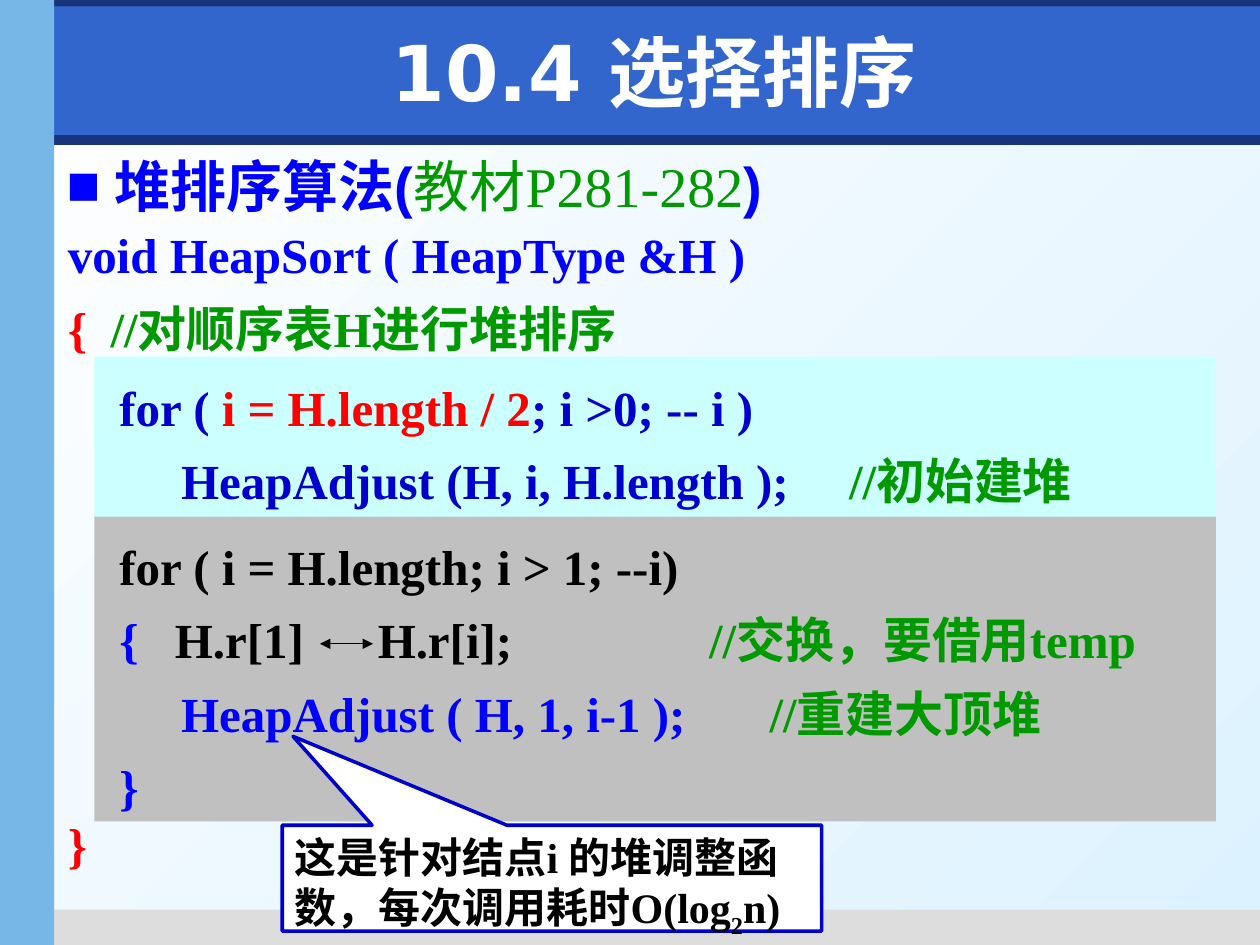
from dataclasses import dataclass

from lxml.etree import SubElement
from pptx import Presentation
from pptx.dml.color import RGBColor
from pptx.enum.shapes import MSO_CONNECTOR, MSO_SHAPE
from pptx.enum.text import MSO_ANCHOR, PP_ALIGN
from pptx.oxml.ns import qn
from pptx.util import Inches, Pt

COLORS = {
    "navy": "17347D", "banner": "3366CC", "sidebar": "77B7E7", "footer": "DDDDDD",
    "white": "FFFFFF", "sky": "DDF2FF", "blue": "0000FF", "deep": "0000CC",
    "red": "FF0000", "green": "009900", "black": "000000",
    "cyan": "CCFFFF", "gray": "C0C0C0",
}
SERIF = "Times New Roman"
CJK = "Noto Sans CJK SC"


@dataclass
class Span:
    text: str
    color: str
    font: str = SERIF
    bold: bool = True
    baseline: int = 0


@dataclass
class Line:
    spans: list[Span]
    tabs: tuple[float, ...] = ()
    size: int = 28
    spacing: float = 1.25


@dataclass
class Box:
    left: float
    top: float
    width: float
    height: float
    fill: str = ""


def rgb(name: str) -> RGBColor:
    return RGBColor.from_string(COLORS[name])


def add_panel(slide, box: Box, kind=MSO_SHAPE.RECTANGLE):
    panel = slide.shapes.add_shape(
        kind, Inches(box.left), Inches(box.top), Inches(box.width), Inches(box.height))
    panel.shadow.inherit = False
    panel.fill.solid()
    panel.fill.fore_color.rgb = rgb(box.fill)
    panel.line.fill.background()
    return panel


def add_label(slide, box: Box):
    return slide.shapes.add_textbox(
        Inches(box.left), Inches(box.top), Inches(box.width), Inches(box.height))


def set_tabs(paragraph, stops: tuple[float, ...]) -> None:
    tab_list = SubElement(paragraph._p.get_or_add_pPr(), qn("a:tabLst"))
    for stop in stops:
        SubElement(tab_list, qn("a:tab"), pos=str(Inches(stop)), algn="l")


def add_span(paragraph, span: Span, size: int) -> None:
    run = paragraph.add_run()
    run.text = span.text
    run.font.size = Pt(size)
    run.font.bold = span.bold
    run.font.color.rgb = rgb(span.color)
    run.font.name = span.font
    properties = run.font._element
    SubElement(properties, qn("a:ea"), typeface=CJK)
    if span.baseline:
        properties.set("baseline", str(span.baseline * 1000))


def write(shape, lines: list[Line], align=PP_ALIGN.LEFT, anchor=MSO_ANCHOR.TOP) -> None:
    frame = shape.text_frame
    frame.word_wrap = True
    frame.vertical_anchor = anchor
    for index, line in enumerate(lines):
        paragraph = frame.add_paragraph() if index else frame.paragraphs[0]
        paragraph.alignment = align
        paragraph.line_spacing = line.spacing
        if line.tabs:
            set_tabs(paragraph, line.tabs)
        paragraph.font.size = Pt(line.size)
        for span in line.spans:
            add_span(paragraph, span, line.size)


def add_bullet(paragraph, color: str, indent: float) -> None:
    properties = paragraph._p.get_or_add_pPr()
    properties.set("marL", str(Inches(indent)))
    properties.set("indent", str(-Inches(indent)))
    bullet_color = SubElement(properties, qn("a:buClr"))
    SubElement(bullet_color, qn("a:srgbClr"), val=COLORS[color])
    SubElement(properties, qn("a:buFont"), typeface="Arial")
    SubElement(properties, qn("a:buChar"), char="■")


def add_swap_arrow(slide, left: float, right: float, y: float) -> None:
    arrow = slide.shapes.add_connector(
        MSO_CONNECTOR.STRAIGHT, Inches(left), Inches(y), Inches(right), Inches(y))
    arrow.line.color.rgb = rgb("black")
    arrow.line.width = Pt(0.75)
    line = arrow.line._get_or_add_ln()
    for end in ("a:headEnd", "a:tailEnd"):
        SubElement(line, qn(end), type="triangle")
    SubElement(arrow._element.spPr, qn("a:effectLst"))


FRAME = [
    Box(0.04, 1.07, 9.96, 0.08, "navy"),
    Box(0.35, 7.22, 9.65, 0.28, "footer"),
    Box(0, 0, 10, 0.21, "navy"),
    Box(0.43, 0.05, 9.57, 1.02, "banner"),
    Box(0, 0, 0.43, 7.5, "sidebar"),
]
SIGNATURE = [
    Line([Span("void HeapSort ( HeapType &H )", "blue")]),
    Line([Span("{\t", "red"), Span("//对顺序表H进行堆排序", "green")], (0.34,)),
]
BUILD_LOOP = [
    Line([Span("\tfor ( ", "deep"), Span("i = H.length / 2", "red"),
          Span("; i >0; -- i )", "deep")], (0.1,)),
    Line([Span("\tHeapAdjust (H, i, H.length );\t", "deep"),
          Span("//初始建堆", "green")], (0.59, 5.89)),
]
SORT_LOOP = [
    Line([Span("\tfor ( i = H.length; i > 1; --i)", "black")], (0.1,)),
    Line([Span("\t{\t", "blue"), Span("H.r[1]\tH.r[i];\t", "black"),
          Span("//交换，要借用temp", "green")], (0.1, 0.54, 2.15, 4.78)),
    Line([Span("\tHeapAdjust ( H, 1, i-1 );\t", "blue"),
          Span("//重建大顶堆", "green")], (0.59, 5.26)),
    Line([Span("\t}", "blue")], (0.1,)),
]
COST_NOTE = Line([
    Span("这是针对结点i 的堆调整函数，每次调用耗时O(log", "black"),
    Span("2", "black", baseline=-25),
    Span("n)", "black"),
], size=24, spacing=1.0)


def main() -> None:
    presentation = Presentation()
    presentation.slide_width, presentation.slide_height = Inches(10), Inches(7.5)
    slide = presentation.slides.add_slide(presentation.slide_layouts[6])

    background = slide.background.fill
    background.gradient()
    background.gradient_angle = 315
    for stop, color in zip(background.gradient_stops, ("white", "sky")):
        stop.color.rgb = rgb(color)
    for box in FRAME:
        add_panel(slide, box)

    title = add_label(slide, Box(0.59, 0.13, 9.21, 0.87))
    write(title, [Line([Span("10.4 选择排序", "white", "DejaVu Sans")], size=44, spacing=1.0)],
          PP_ALIGN.CENTER, MSO_ANCHOR.MIDDLE)

    heading = add_label(slide, Box(0.43, 1.15, 9.37, 0.7))
    write(heading, [Line([
        Span("堆排序算法(", "blue", "Arial"),
        Span("教材P281-282", "green", bold=False),
        Span(")", "blue", "Arial"),
    ], size=32, spacing=1.0)])
    add_bullet(heading.text_frame.paragraphs[0], "blue", 0.38)

    write(add_label(slide, Box(0.44, 1.62, 9, 1.2)), SIGNATURE)
    write(add_label(slide, Box(0.44, 6.3, 1, 0.66)), [Line([Span("}", "red")])])
    write(add_panel(slide, Box(0.75, 4.09, 8.9, 2.43, "gray")), SORT_LOOP)
    add_swap_arrow(slide, 2.54, 2.96, 5.11)

    callout = add_panel(slide, Box(2.24, 6.55, 4.28, 0.84, "white"),
                        MSO_SHAPE.RECTANGULAR_CALLOUT)
    callout.adjustments[0], callout.adjustments[1] = -0.48, -1.34
    callout.line.color.rgb = rgb("deep")
    callout.line.width = Pt(2)
    write(callout, [COST_NOTE])

    write(add_panel(slide, Box(0.75, 2.83, 8.9, 1.27, "cyan")), BUILD_LOOP)
    presentation.save("out.pptx")


if __name__ == "__main__":
    main()
